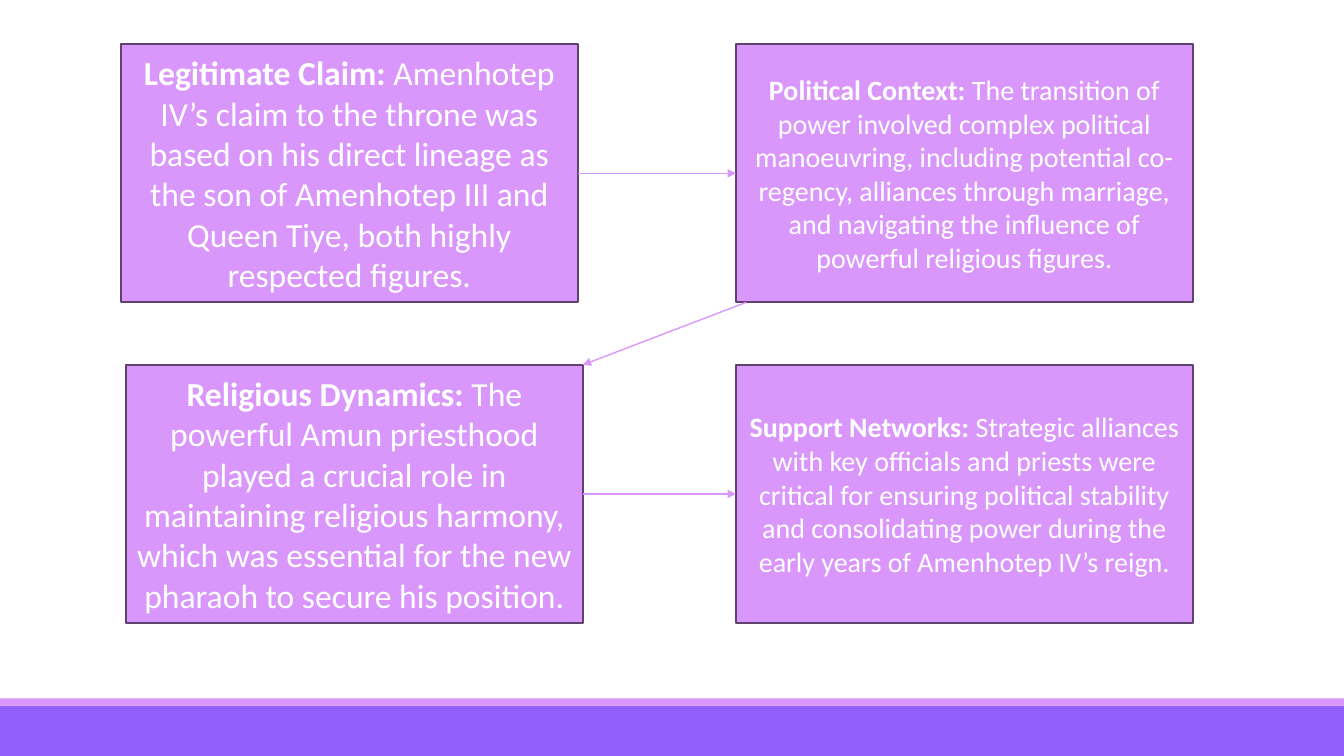
from dataclasses import dataclass

from lxml.etree import SubElement
from pptx import Presentation
from pptx.dml.color import RGBColor
from pptx.enum.shapes import MSO_CONNECTOR, MSO_SHAPE
from pptx.enum.text import MSO_ANCHOR, PP_ALIGN
from pptx.oxml.ns import qn
from pptx.util import Inches, Pt


@dataclass(frozen=True)
class Theme:
    """Hold the colours, font and type sizes."""
    lilac: str = "DA97FB"
    violet: str = "925FFD"
    edge: str = "60426E"
    white: str = "FFFFFF"
    font: str = "Calibri"
    large: int = 24
    small: int = 20
    border: float = 1.25
    arrow: float = 1


THEME = Theme()
WIDE, HIGH = 13.33, 7.5
CARD_W, CARD_H = 4.53, 2.56
TOP, LOW = 0.44, 3.62
RIGHT = 7.3

CARDS = [
    (1.2, TOP, THEME.large, "Legitimate Claim:",
     " Amenhotep IV’s claim to the throne was based on his direct lineage "
     "as the son of Amenhotep III and Queen Tiye, both highly respected figures."),
    (RIGHT, TOP, THEME.small, "Political Context:",
     " The transition of power involved complex political manoeuvring, "
     "including potential co-regency, alliances through marriage, and "
     "navigating the influence of powerful religious figures."),
    (1.25, LOW, THEME.large, "Religious Dynamics:",
     " The powerful Amun priesthood played a crucial role in maintaining "
     "religious harmony, which was essential for the new pharaoh to secure "
     "his position."),
    (RIGHT, LOW, THEME.small, "Support Networks:",
     " Strategic alliances with key officials and priests were critical for "
     "ensuring political stability and consolidating power during the early "
     "years of Amenhotep IV’s reign."),
]


def add_text(para, text, size, bold=False, color=THEME.white):
    """Add one formatted run to a paragraph."""
    run = para.add_run()
    run.text = text
    run.font.name = THEME.font
    run.font.size = Pt(size)
    run.font.bold = bold
    run.font.color.rgb = RGBColor.from_string(color)


def add_box(slide, box, fill, edge=None):
    """Add a flat rectangle, with a border if an edge colour is given."""
    shape = slide.shapes.add_shape(MSO_SHAPE.RECTANGLE, *map(Inches, box))
    shape.shadow.inherit = False
    shape.fill.solid()
    shape.fill.fore_color.rgb = RGBColor.from_string(fill)
    if edge:
        shape.line.color.rgb = RGBColor.from_string(edge)
        shape.line.width = Pt(THEME.border)
    else:
        shape.line.fill.background()
    return shape


def add_card(slide, box, size, title, body):
    """Add a card with a bold lead and its text."""
    frame = add_box(slide, box, THEME.lilac, THEME.edge).text_frame
    frame.word_wrap = True
    frame.vertical_anchor = MSO_ANCHOR.MIDDLE
    para = frame.paragraphs[0]
    para.alignment = PP_ALIGN.CENTER
    add_text(para, title, size, bold=True)
    add_text(para, body, size)


def add_arrow(slide, start, end):
    """Draw an arrow between two points."""
    line = slide.shapes.add_connector(
        MSO_CONNECTOR.STRAIGHT, *map(Inches, (*start, *end)))
    line.line.color.rgb = RGBColor.from_string(THEME.lilac)
    line.line.width = Pt(THEME.arrow)
    props = line.line._get_or_add_ln()
    SubElement(props, qn("a:tailEnd"), type="triangle")
    SubElement(props.getparent(), qn("a:effectLst"))


def add_foot(slide, box):
    """Fill the foot of the slide with a band under a thin strip."""
    left, top, width, height = box
    strip = 0.07
    add_box(slide, (left, top + strip, width, height - strip), THEME.violet)
    add_box(slide, (left, top, width, strip), THEME.lilac)


def add_flow(slide):
    """Place the four cards and the arrows that join them."""
    for left, top, size, title, body in CARDS:
        add_card(slide, (left, top, CARD_W, CARD_H), size, title, body)
    ends = [CARDS[i][0] + CARD_W for i in (0, 2)]
    for end, top in zip(ends, (TOP, LOW)):
        mid = top + CARD_H / 2
        add_arrow(slide, (end, mid), (RIGHT, mid))
    add_arrow(slide, (RIGHT + 0.1, TOP + CARD_H), (ends[1], LOW))


def main():
    """Build and save the slide."""
    deck = Presentation()
    deck.slide_width, deck.slide_height = Inches(WIDE), Inches(HIGH)
    slide = deck.slides.add_slide(deck.slide_layouts[6])
    add_foot(slide, (0, 6.93, WIDE, HIGH - 6.93))
    add_flow(slide)
    deck.save("out.pptx")


if __name__ == "__main__":
    main()
